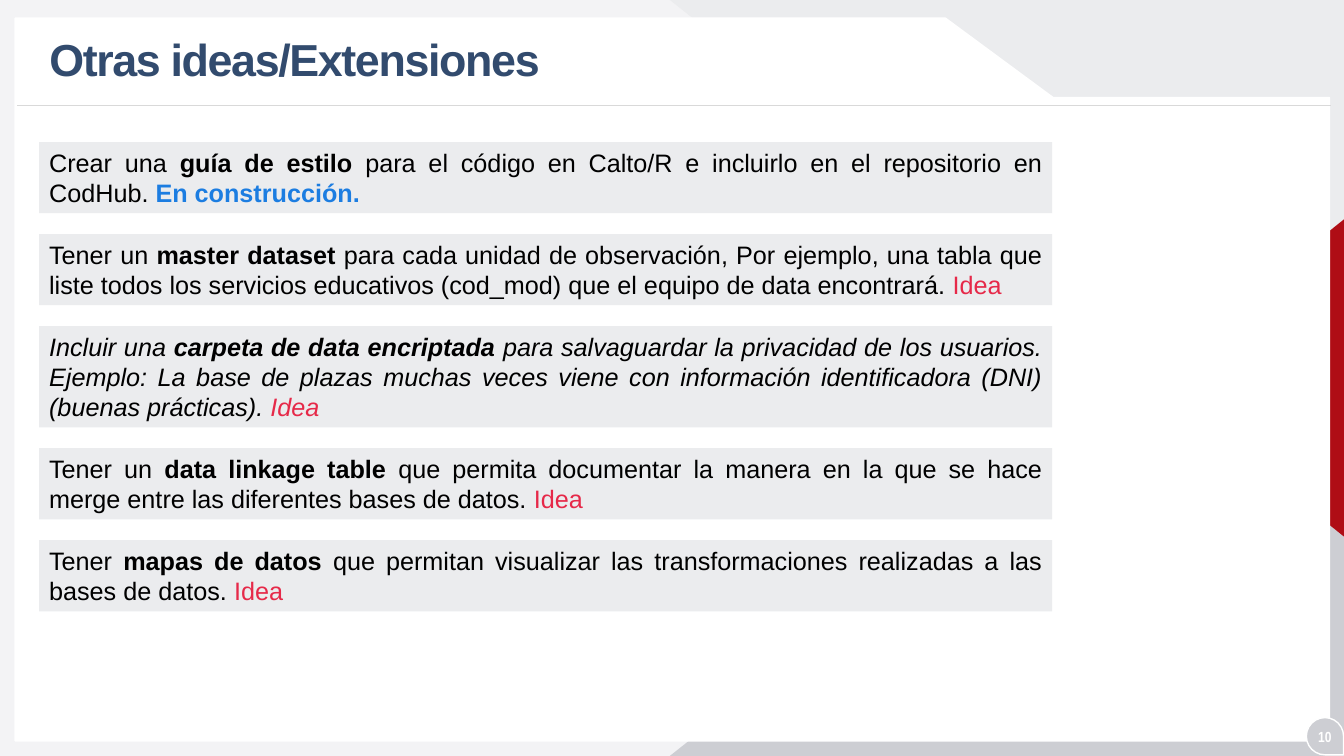
from pptx import Presentation
from pptx.util import Pt
from pptx.dml.color import RGBColor
from pptx.enum.shapes import MSO_SHAPE as Kind, MSO_CONNECTOR as Link
from pptx.enum.text import PP_ALIGN as Align, MSO_ANCHOR as Anchor, MSO_AUTO_SIZE as Fit
from pptx.oxml.ns import qn
from lxml.etree import SubElement

WIDE, HIGH = 960, 540
WHITE, BLACK, NAVY = "FFFFFF", "000000", "324B6E"
PALE, LIGHT, GREY, RULE = "F3F3F5", "EBECEE", "CDCED3", "D9D9D9"
RED, ROSE, BLUE = "AF0D15", "E62949", "1C7DE1"

TITLE = "Otras ideas/Extensiones"
PAGE = "10"
IDEA = ("Idea", ROSE, False)
BUILD = ("En construcción.", BLUE, True)

# lead, bold term, rest, (status, colour, bold), italic, lines
CARDS = [
    ("Crear una ", "guía de estilo ",
     "para el código en Calto/R e incluirlo en el repositorio en CodHub. ",
     BUILD, False, 2),
    ("Tener un ", "master dataset ",
     "para cada unidad de observación, Por ejemplo, una tabla que liste todos "
     "los servicios educativos (cod_mod) que el equipo de data encontrará. ",
     IDEA, False, 2),
    ("Incluir una ", "carpeta de data encriptada ",
     "para salvaguardar la privacidad de los usuarios. Ejemplo: La base de "
     "plazas muchas veces viene con información identificadora (DNI) "
     "(buenas prácticas). ",
     IDEA, True, 3),
    ("Tener un ", "data linkage table ",
     "que permita documentar la manera en la que se hace merge entre las "
     "diferentes bases de datos. ",
     IDEA, False, 2),
    ("Tener ", "mapas de datos ",
     "que permitan visualizar las transformaciones realizadas a las bases "
     "de datos. ",
     IDEA, False, 2),
]

# kind, box, fill, rotation, apex, outline
DECOR = [
    (Kind.RECTANGLE, (0, 0, WIDE, HIGH), PALE, 0, None, None),
    (Kind.ISOSCELES_TRIANGLE, (478.5, 0, 481.5, 382.5), LIGHT, 180, 0, None),
    (Kind.ISOSCELES_TRIANGLE, (478.5, 157.5, 481.5, 382.5), GREY, 0, 1, None),
    (Kind.ISOSCELES_TRIANGLE, (776.2, 199.4, 226.8, 141.1), RED, 270, 0.5, None),
]
BADGE = (Kind.TEAR, (933.1, 512.6, 26.6, 26.6), GREY, 90, None, WHITE)
PANEL = [(10.8, 13), (675.4, 13), (752.4, 69.8), (949.7, 69.8),
         (949.7, 529.2), (10.8, 529.2)]

LEFT, TOP, WIDTH = 28, 101.5, 723.6
LINE, PAD, GAP = 21.6, 7.6, 14.9


def tint(code):
    """Turn a hex string into a colour."""
    return RGBColor.from_string(code)


def paint(shape, fill, edge=None):
    """Set fill and outline, and drop the shadow."""
    shape.shadow.inherit = False
    shape.fill.solid()
    shape.fill.fore_color.rgb = tint(fill)
    if edge:
        shape.line.color.rgb = tint(edge)
        shape.line.width = Pt(1)
    else:
        shape.line.fill.background()


def draw(kind, box, fill, turn=0, apex=None, edge=None):
    """Add a painted preset shape."""
    shape = slide.shapes.add_shape(kind, *map(Pt, box))
    paint(shape, fill, edge)
    shape.rotation = turn
    if apex is not None:
        shape.adjustments[0] = apex
    return shape


def write(para, text, size, color, bold=False, italic=False, face="Arial"):
    """Add one formatted run."""
    run = para.add_run()
    run.text = text
    font = run.font
    font.name, font.size = face, Pt(size)
    font.bold, font.italic = bold, italic
    font.color.rgb = tint(color)
    return run


def card(top, high, lead, term, rest, status, italic):
    """Add one idea box with its four runs."""
    frame = draw(Kind.RECTANGLE, (LEFT, top, WIDTH, high), LIGHT).text_frame
    frame.word_wrap = True
    frame.auto_size = Fit.SHAPE_TO_FIT_TEXT
    frame.vertical_anchor = Anchor.TOP
    para = frame.paragraphs[0]
    para.alignment = Align.JUSTIFY
    runs = [(lead, BLACK, False), (term, BLACK, True), (rest, BLACK, False), status]
    for text, color, bold in runs:
        write(para, text, 18, color, bold, italic)


deck = Presentation()
deck.slide_width, deck.slide_height = Pt(WIDE), Pt(HIGH)
slide = deck.slides.add_slide(deck.slide_layouts[5])

for item in DECOR:
    draw(*item)

pen = slide.shapes.build_freeform(*map(Pt, PANEL[0]))
pen.add_line_segments([(Pt(x), Pt(y)) for x, y in PANEL[1:]], close=True)
paint(pen.convert_to_shape(), WHITE, WHITE)

rule = slide.shapes.add_connector(Link.STRAIGHT, Pt(950.4), Pt(75), Pt(12.2), Pt(75))
rule.line.color.rgb = tint(RULE)
rule.line.width = Pt(0.5)
SubElement(rule._element.spPr, qn("a:effectLst"))

draw(*BADGE)

title = slide.shapes.title
title.left, title.top, title.width, title.height = map(Pt, (LEFT, 15.8, 695.5, 56.9))
slide.shapes._spTree.append(title._element)  # bring in front of the panel
frame = title.text_frame
frame.word_wrap = True
frame.vertical_anchor = Anchor.MIDDLE
para = frame.paragraphs[0]
para.alignment, para.line_spacing = Align.LEFT, 0.9
head = write(para, TITLE, 32, NAVY, True)
head._r.get_or_add_rPr().set("spc", "-100")

frame = slide.shapes.add_textbox(*map(Pt, (929.5, 516.2, 33.8, 20.2))).text_frame
frame.word_wrap = True
frame.vertical_anchor = Anchor.MIDDLE
frame.paragraphs[0].alignment = Align.CENTER
write(frame.paragraphs[0], PAGE, 10.5, WHITE, True, face="Arial Narrow")

top = TOP
for *parts, lines in CARDS:
    high = lines * LINE + PAD
    card(top, high, *parts)
    top += high + GAP

deck.save("out.pptx")
